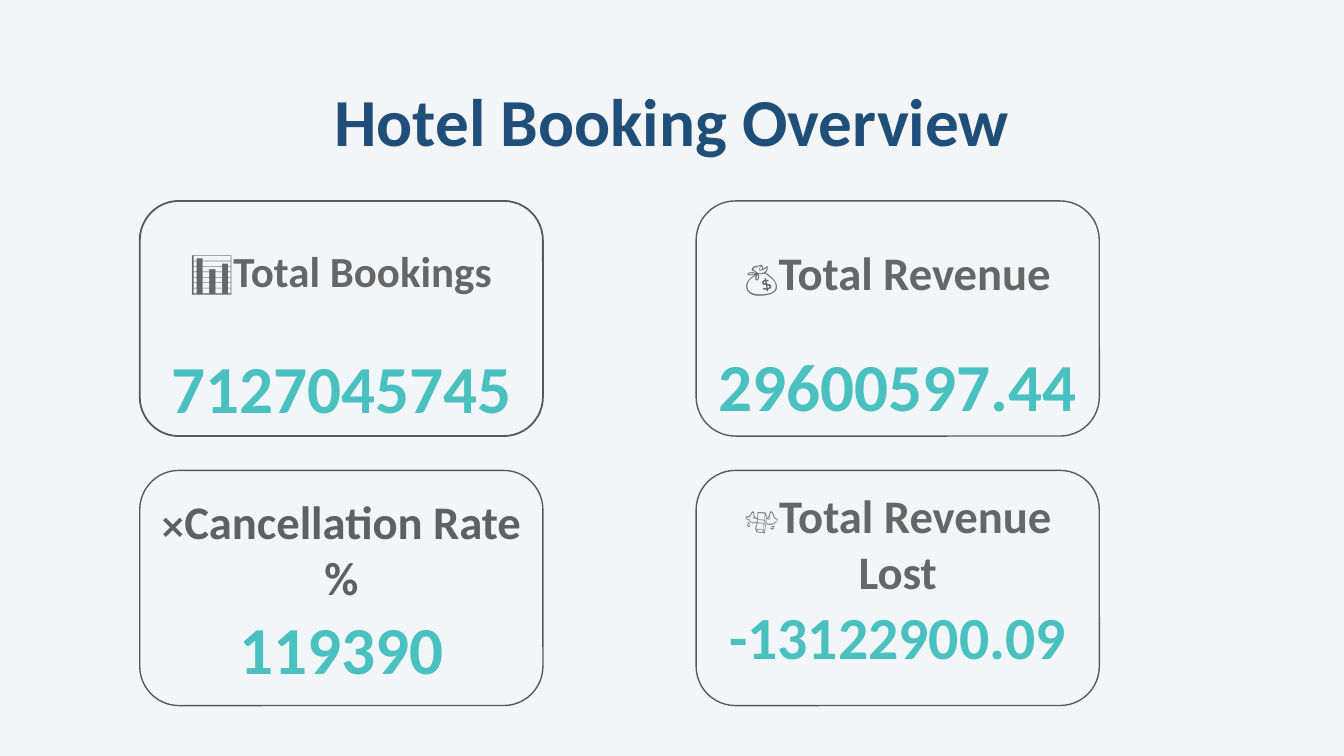
from pptx import Presentation
from pptx.dml.color import RGBColor
from pptx.enum.shapes import MSO_SHAPE
from pptx.enum.text import MSO_ANCHOR, MSO_AUTO_SIZE, PP_ALIGN
from pptx.util import Emu, Pt

ROUNDED = MSO_SHAPE.ROUNDED_RECTANGLE
CENTER = PP_ALIGN.CENTER
TOP = MSO_ANCHOR.TOP
NO_FIT = MSO_AUTO_SIZE.NONE

EMU_PER_PX = 4572  # 200 px to the inch
FONT = "Calibri"
COLORS = {
    "background": "F3F5F7",
    "title": "1F4E79",
    "card": "F3F6F9",
    "outline": "595959",
    "label": "666666",
    "dark_label": "606060",
    "value": "4BC0C0",
}

# Card grid
CARD_LEFT, CARD_TOP = 208, 299
CARD_WIDTH, CARD_HEIGHT = 600, 350
COLUMN_STEP, ROW_STEP = 828, 401

# Two cards to a row; label_box and value_box are (offset from card top, height)
CARDS = [
    dict(icon="📊", label="Total Bookings", value="7127045745",
         label_box=(39, 138), value_box=(173, 178),
         icon_size=22.8, label_size=23, inset=26, outline=0.95),
    dict(icon="💰", label="Total Revenue", value="29600597.44",
         label_box=(44, 96), value_box=(176, 110)),
    dict(icon="❌", label="Cancellation Rate %", value="119390",
         label_box=(14, 88), value_box=(166, 110), label_color="dark_label"),
    dict(icon="💸", label="Total Revenue Lost", value="-13122900.09",
         label_box=(5, 96), value_box=(157, 110), value_size=32),
]


def px(length):
    return Emu(length * EMU_PER_PX)


def rgb(name):
    return RGBColor.from_string(COLORS[name])


def write_text(holder, runs, color, inset=20, line_spacing=None):
    """Fill a text holder with one centred paragraph of (text, size) runs."""
    frame = holder.text_frame
    frame.word_wrap = True
    frame.auto_size = NO_FIT
    frame.vertical_anchor = TOP
    frame.margin_left = frame.margin_right = px(inset)
    frame.margin_top = frame.margin_bottom = px(inset)
    paragraph = frame.paragraphs[0]
    paragraph.alignment = CENTER
    if line_spacing:
        paragraph.line_spacing = line_spacing
    for text, size in runs:
        run = paragraph.add_run()
        run.text = text
        run.font.name = FONT
        run.font.size = Pt(size)
        run.font.bold = True
        run.font.color.rgb = rgb(color)


def add_title(slide, text):
    title = slide.shapes.title
    title.left, title.top = px(68), px(98)
    title.width, title.height = px(1864), px(126)
    write_text(title, [(text, 36)], "title")


def add_card(slide, left, top, icon, label, value, label_box, value_box,
             icon_size=18, label_size=25, value_size=36,
             label_color="label", inset=20, outline=0.75):
    card = slide.shapes.add_group_shape().shapes

    # Rounded panel
    panel = card.add_shape(ROUNDED, px(left), px(top),
                           px(CARD_WIDTH), px(CARD_HEIGHT))
    panel.adjustments[0] = 0.167
    panel.shadow.inherit = False
    panel.fill.solid()
    panel.fill.fore_color.rgb = rgb("card")
    panel.line.color.rgb = rgb("outline")
    panel.line.width = Pt(outline)

    # Label above value
    lines = [
        (label_box, [(icon, icon_size), (label, label_size)], label_color, None),
        (value_box, [(value, value_size)], "value", 1.15),
    ]
    for (offset, height), runs, color, spacing in lines:
        line_box = card.add_textbox(px(left), px(top + offset),
                                    px(CARD_WIDTH), px(height))
        write_text(line_box, runs, color, inset=inset, line_spacing=spacing)


def main():
    deck = Presentation()
    deck.slide_width, deck.slide_height = px(2000), px(1125)
    slide = deck.slides.add_slide(deck.slide_layouts[5])
    slide.background.fill.solid()
    slide.background.fill.fore_color.rgb = rgb("background")

    add_title(slide, "Hotel Booking Overview")
    for index, card in enumerate(CARDS):
        row, column = divmod(index, 2)
        add_card(slide, CARD_LEFT + column * COLUMN_STEP,
                 CARD_TOP + row * ROW_STEP, **card)

    deck.save("out.pptx")


if __name__ == "__main__":
    main()
